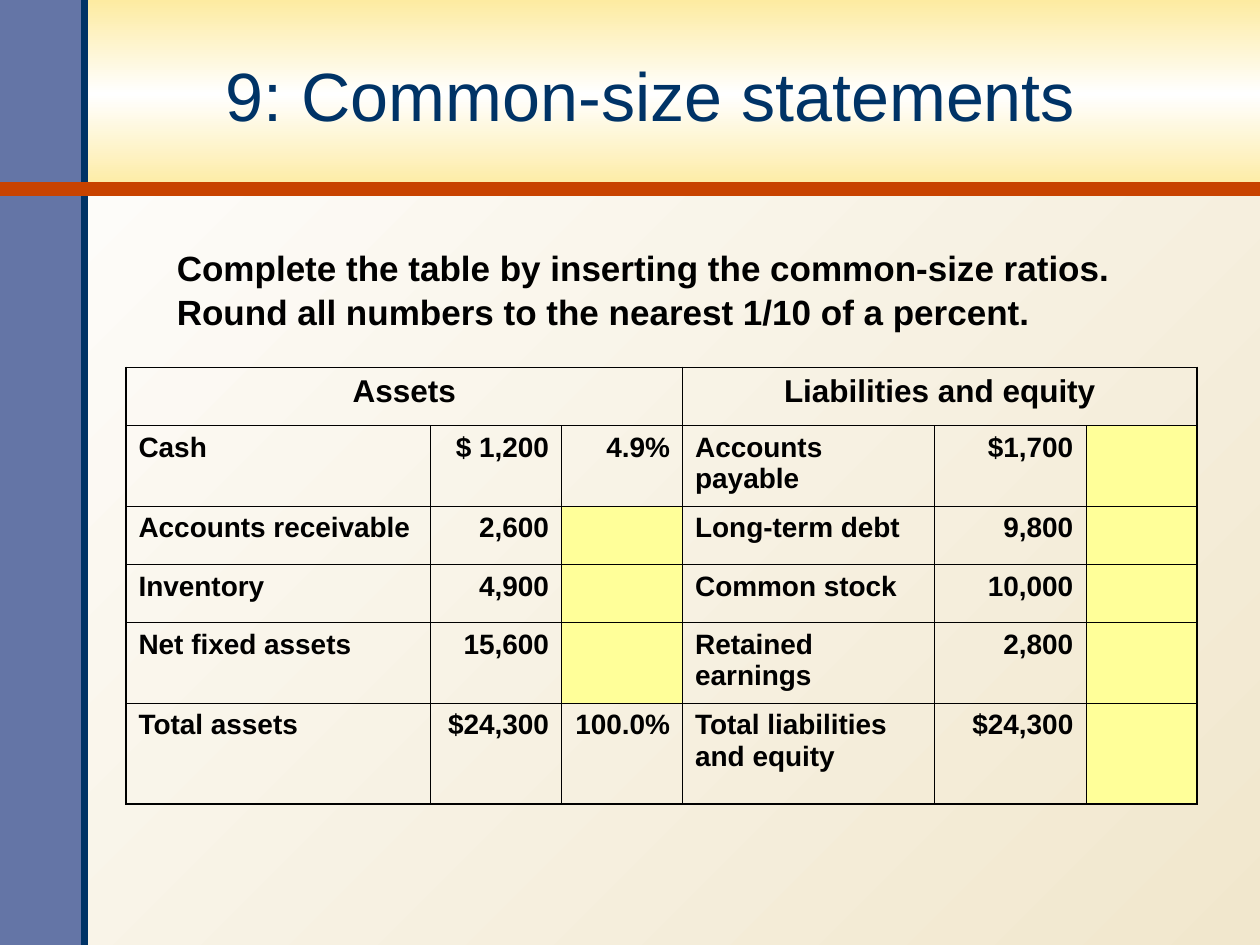
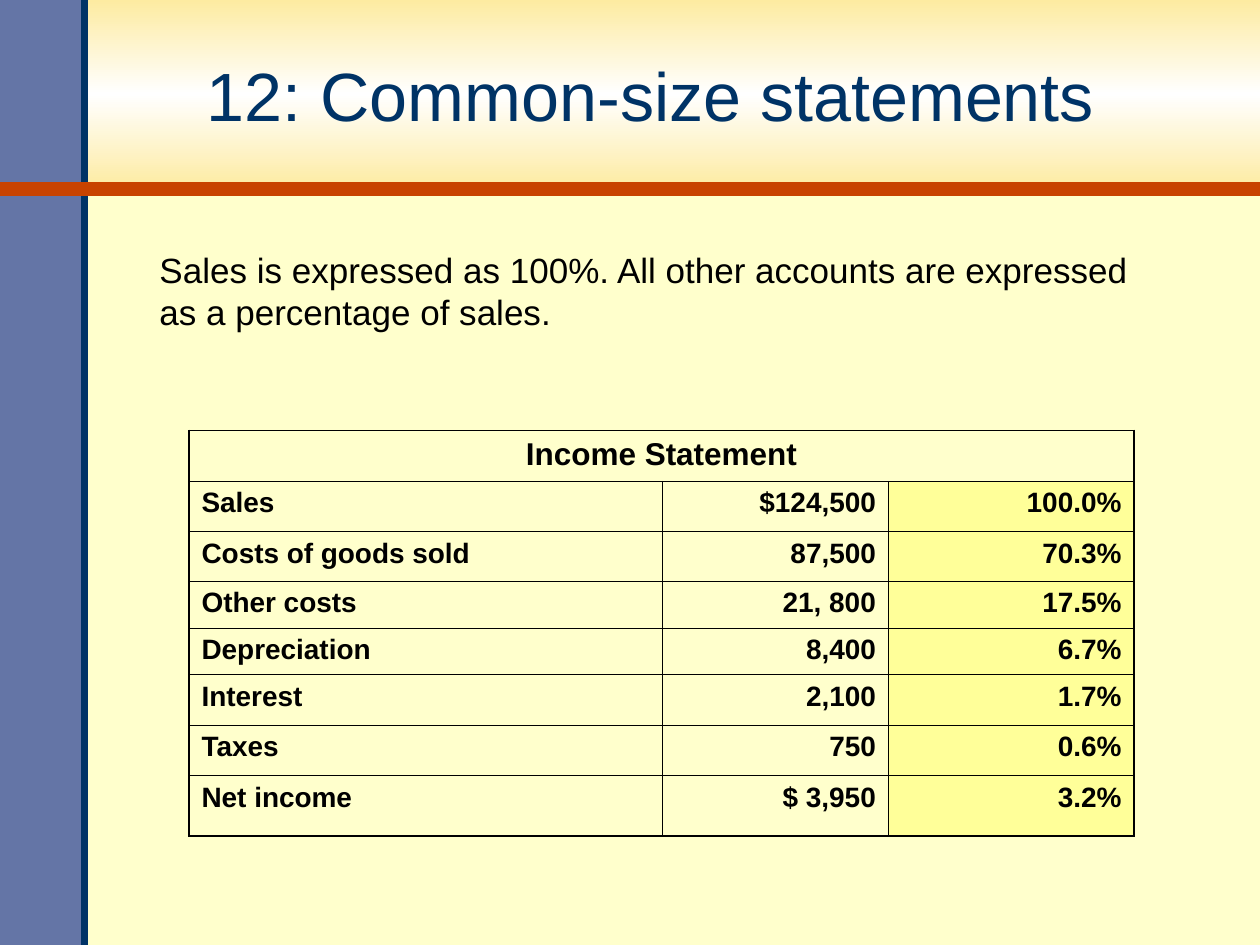
from copy import deepcopy

from lxml import etree
from pptx import Presentation
from pptx.dml.color import RGBColor
from pptx.enum.shapes import MSO_CONNECTOR, MSO_SHAPE
from pptx.enum.text import MSO_ANCHOR, MSO_AUTO_SIZE, PP_ALIGN
from pptx.oxml.ns import qn
from pptx.util import Cm, Pt

LEFT, CENTER, RIGHT = PP_ALIGN.LEFT, PP_ALIGN.CENTER, PP_ALIGN.RIGHT
MIDDLE, TOP = MSO_ANCHOR.MIDDLE, MSO_ANCHOR.TOP
NO_AUTOFIT = MSO_AUTO_SIZE.NONE
RECTANGLE = MSO_SHAPE.RECTANGLE
STRAIGHT = MSO_CONNECTOR.STRAIGHT

FONT = "Arial"
NAVY, SLATE, ORANGE, BLACK = "003366", "6475A6", "C84300", "000000"
GOLD, WHITE, SAND = "FDEBA1", "FFFFFF", "F1E7CD"
CREAM, ANSWER_YELLOW = "FFFFCC", "FFFF99"

PAGE_BOX = (0, 0, 25.4, 19.05)
TITLE_BOX = (1.47, 0.2, 23.29, 3.39)
BAND_HEIGHT = 3.81
SIDEBAR_WIDTH = 1.7
OUTER_LINE, INNER_LINE = 1.08, 0.45
COLUMNS_PER_STATEMENT = 3

BALANCE_SHEET = [
    ["Assets", "", "", "Liabilities and equity", "", ""],
    ["Cash", "$ 1,200", "4.9%", "Accounts payable", "$1,700", ""],
    ["Accounts receivable", "2,600", "", "Long-term debt", "9,800", ""],
    ["Inventory", "4,900", "", "Common stock", "10,000", ""],
    ["Net fixed assets", "15,600", "", "Retained earnings", "2,800", ""],
    ["Total assets", "$24,300", "100.0%", "Total liabilities and equity", "$24,300", ""],
]
INCOME_STATEMENT = [
    ["Income Statement", "", ""],
    ["Sales", "$124,500", "100.0%"],
    ["Costs of goods sold", "87,500", "70.3%"],
    ["Other costs", "21, 800", "17.5%"],
    ["Depreciation", "8,400", "6.7%"],
    ["Interest", "2,100", "1.7%"],
    ["Taxes", "750", "0.6%"],
    ["Net income", "$ 3,950", "3.2%"],
]


def colour(value):
    return RGBColor.from_string(value)


def fill_solid(fill, value):
    fill.solid()
    fill.fore_color.rgb = colour(value)


def fill_gradient(fill, element, angle, values):
    fill.gradient()
    fill.gradient_angle = angle
    stop_list = element.find(".//" + qn("a:gsLst"))
    for _ in values[2:]:
        stop_list.append(deepcopy(stop_list[0]))
    for index, (stop, value) in enumerate(zip(fill.gradient_stops, values)):
        stop.position = index / (len(values) - 1)
        stop.color.rgb = colour(value)


def set_font(para, size, value=BLACK, bold=False):
    para.font.name = FONT
    para.font.size = Pt(size)
    para.font.bold = bold
    para.font.color.rgb = colour(value)


def place(shape, box):
    shape.left, shape.top, shape.width, shape.height = (Cm(length) for length in box)


def add_panel(page, box):
    panel = page.shapes.add_shape(RECTANGLE, *(Cm(length) for length in box))
    panel.shadow.inherit = False
    panel.line.fill.background()
    return panel


def add_rule(page, start, end, value, width):
    rule = page.shapes.add_connector(STRAIGHT, *(Cm(length) for length in start + end))
    rule.line.color.rgb = colour(value)
    rule.line.width = Pt(width)
    etree.SubElement(rule.element.spPr, qn("a:effectLst"))


def add_frame(page, box):
    left, top, width, height = box
    band = add_panel(page, (left, top, width, BAND_HEIGHT))
    fill_gradient(band.fill, band.element, 270, [GOLD, WHITE, GOLD])
    sidebar = add_panel(page, (left, top, SIDEBAR_WIDTH, height))
    fill_solid(sidebar.fill, SLATE)
    edge = left + SIDEBAR_WIDTH
    add_rule(page, (edge, top + height), (edge, top), NAVY, 4)
    base = top + BAND_HEIGHT
    add_rule(page, (left, base), (left + width, base), ORANGE, 8)


def add_title(page, box, text):
    title = page.shapes.title
    page.shapes.element.append(title.element)
    place(title, box)
    frame = title.text_frame
    frame.text = text
    frame.auto_size = NO_AUTOFIT
    frame.vertical_anchor = MIDDLE
    para = frame.paragraphs[0]
    para.alignment = CENTER
    set_font(para, 39, NAVY)


def add_instruction(page, box, lines, top_inset, indent=0, spacing=1.0, bold=False):
    body = page.placeholders[1]
    page.shapes.element.append(body.element)
    place(body, box)
    frame = body.text_frame
    frame.text = "\n".join(lines)
    frame.auto_size = NO_AUTOFIT
    frame.vertical_anchor = TOP
    frame.margin_top = Cm(top_inset)
    for index, para in enumerate(frame.paragraphs):
        properties = para._p.get_or_add_pPr()
        properties.set("marL", str(Cm(indent)))
        properties.set("indent", "0")
        etree.SubElement(properties, qn("a:buNone"))
        para.alignment = LEFT
        para.line_spacing = spacing
        para.space_before = Pt(6 if index else 0)
        set_font(para, 20, bold=bold)


def set_borders(cell, outer_sides):
    properties = cell._tc.get_or_add_tcPr()
    for side, is_outer in zip("LRTB", outer_sides):
        width = Pt(OUTER_LINE if is_outer else INNER_LINE)
        line = etree.SubElement(properties, qn("a:ln" + side), w=str(width))
        solid = etree.SubElement(line, qn("a:solidFill"))
        etree.SubElement(solid, qn("a:srgbClr"), val=BLACK)


def add_statement(page, box, rows, widths, heights, answer_column=None):
    shape = page.shapes.add_table(len(rows), len(widths), *(Cm(length) for length in box))
    table = shape.table
    table.first_row = table.horz_banding = False
    for column, width in zip(table.columns, widths):
        column.width = Cm(width)
    for row, height in zip(table.rows, heights):
        row.height = Cm(height)
    for first in range(0, len(widths), COLUMNS_PER_STATEMENT):
        table.cell(0, first).merge(table.cell(0, first + COLUMNS_PER_STATEMENT - 1))

    for row_index, texts in enumerate(rows):
        is_header = row_index == 0
        for column_index, text in enumerate(texts):
            cell = table.cell(row_index, column_index)
            set_borders(cell, (
                column_index == 0,
                column_index + cell.span_width == len(widths),
                is_header,
                row_index == len(rows) - 1,
            ))
            if not is_header and (not text or column_index == answer_column):
                fill_solid(cell.fill, ANSWER_YELLOW)
            else:
                cell.fill.background()
            if not text:
                continue
            cell.text = text
            para = cell.text_frame.paragraphs[0]
            is_label = column_index % COLUMNS_PER_STATEMENT == 0
            para.alignment = CENTER if is_header else LEFT if is_label else RIGHT
            set_font(para, 18 if is_header else 16, bold=True)


def add_page(deck, title):
    page = deck.slides.add_slide(deck.slide_layouts[1])
    add_frame(page, PAGE_BOX)
    add_title(page, TITLE_BOX, title)
    return page


def add_balance_sheet_page(deck):
    page = add_page(deck, "9: Common-size statements")
    fill_gradient(page.background.fill, page.element, 315, [WHITE, SAND])
    add_instruction(
        page, (2.12, 3.81, 21.59, 3.39),
        ["Complete the table by inserting the common-size ratios.",
         "Round all numbers to the nearest 1/10 of a percent."],
        top_inset=1.32, indent=1.19, spacing=0.8, bold=True)
    add_statement(
        page, (2.54, 7.41, 21.59, 8.8), BALANCE_SHEET,
        widths=[6.13, 2.65, 2.44, 5.08, 3.05, 2.24],
        heights=[1.17, 1.63, 1.17, 1.17, 1.63, 2.03])


def add_income_statement_page(deck):
    page = add_page(deck, "12: Common-size statements")
    fill_solid(page.background.fill, CREAM)
    add_statement(
        page, (3.81, 8.68, 19.05, 8.17), INCOME_STATEMENT,
        widths=[9.55, 4.55, 4.95],
        heights=[1.02, 1.02, 1, 0.94, 0.94, 1.02, 1.02, 1.21],
        answer_column=2)
    add_instruction(
        page, (2.96, 3.99, 20.12, 2.79),
        ["Sales is expressed as 100%. All other accounts are expressed "
         "as a percentage of sales."],
        top_inset=1.02)


def main():
    deck = Presentation()
    deck.slide_width, deck.slide_height = (Cm(length) for length in PAGE_BOX[2:])
    add_balance_sheet_page(deck)
    add_income_statement_page(deck)
    deck.save("out.pptx")


if __name__ == "__main__":
    main()
